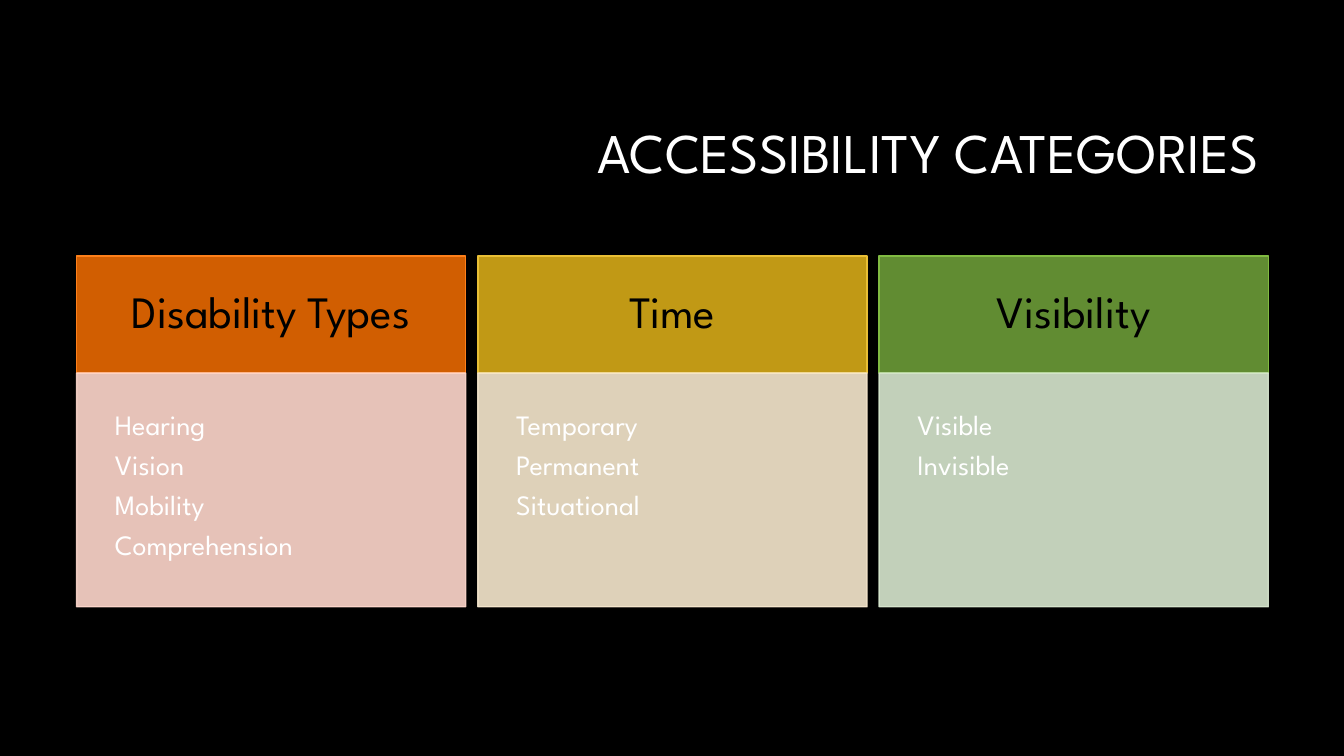
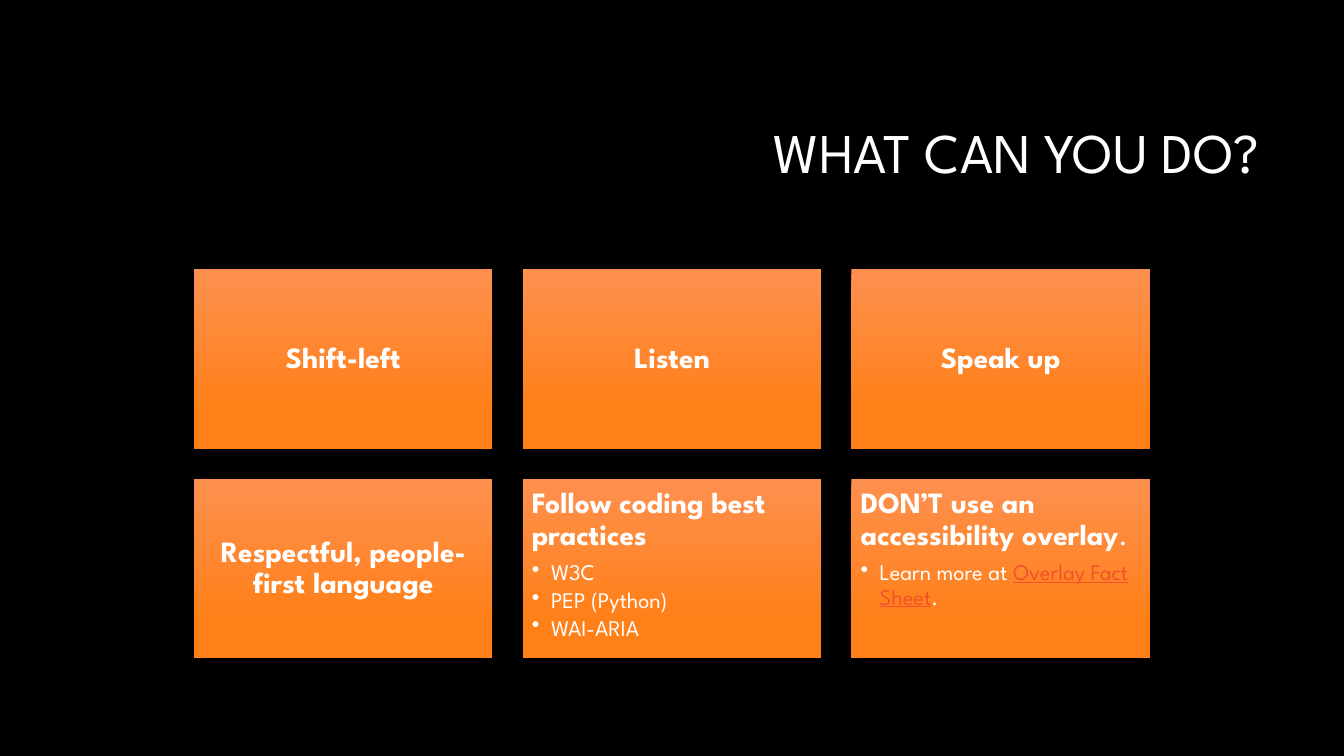
"""Build two slides on accessibility: its categories and what to do about it."""
from lxml.etree import SubElement
from pptx import Presentation
from pptx.dml.color import RGBColor
from pptx.enum.shapes import MSO_SHAPE as Shape
from pptx.enum.text import MSO_ANCHOR as Anchor, PP_ALIGN as Align
from pptx.oxml.ns import qn
from pptx.util import Inches, Pt

FONT = "League Spartan"
BLACK = RGBColor(0x00, 0x00, 0x00)
WHITE = RGBColor(0xFF, 0xFF, 0xFF)
LINK = RGBColor(0xF0, 0x53, 0x2B)
CARD_TOP = RGBColor(0xFE, 0x90, 0x4F)
CARD_BOTTOM = RGBColor(0xFF, 0x80, 0x19)
ORANGE = RGBColor(0xD1, 0x5E, 0x01)
ORANGE_EDGE = RGBColor(0xFE, 0x80, 0x1A)
ORANGE_PALE = RGBColor(0xFF, 0xD8, 0xCD)
GOLD = RGBColor(0xC1, 0x99, 0x15)
GOLD_EDGE = RGBColor(0xE9, 0xBF, 0x35)
GOLD_PALE = RGBColor(0xF7, 0xE8, 0xCE)
GREEN = RGBColor(0x61, 0x8C, 0x32)
GREEN_EDGE = RGBColor(0x81, 0xBB, 0x42)
GREEN_PALE = RGBColor(0xD8, 0xE7, 0xCF)

SLIDE_WIDTH, SLIDE_HEIGHT = 13.33, 7.5
CARD_WIDTH, CARD_HEIGHT, CARD_GAP = 2.96, 1.78, 0.3
CARD_SIZE, POINT_SIZE = 21, 16

CATEGORIES = [
    ("Disability Types", ["Hearing", "Vision", "Mobility", "Comprehension"],
     ORANGE, ORANGE_EDGE, ORANGE_PALE),
    ("Time", ["Temporary", "Permanent", "Situational"],
     GOLD, GOLD_EDGE, GOLD_PALE),
    ("Visibility", ["Visible", "Invisible"],
     GREEN, GREEN_EDGE, GREEN_PALE),
]
ACTIONS = [
    ("Shift-left", "", []),
    ("Listen", "", []),
    ("Speak up", "", []),
    ("Respectful, people-first language", "", []),
    ("Follow coding best practices", "",
     [[("W3C", WHITE)], [("PEP (Python)", WHITE)], [("WAI-ARIA", WHITE)]]),
    ("DON’T use an accessibility overlay", ".",
     [[("Learn more at ", WHITE), ("Overlay Fact Sheet", LINK), (".", WHITE)]]),
]


def add_span(para, text, *, size, color=WHITE, bold=False, underline=False):
    """Append a formatted run to a paragraph."""
    span = para.add_run()
    span.text = text
    font = span.font
    font.name, font.size, font.bold = FONT, Pt(size), bold
    font.underline = underline
    font.color.rgb = color


def add_para(frame, *, align=Align.LEFT, after=0, bullet=False):
    """Return the next paragraph, reusing the first one while it is empty."""
    first = frame.paragraphs[0]
    para = frame.add_paragraph() if first.runs else first
    para.alignment = align
    para.line_spacing = 0.9
    para.space_after = Pt(after)
    if bullet:
        props = para._p.get_or_add_pPr()
        props.set("marL", str(Inches(0.19)))
        props.set("indent", str(-Inches(0.19)))
        SubElement(props, qn("a:buChar"), char="•")
    return para


def prepare_frame(box, *, inset, anchor=Anchor.TOP):
    """Set wrapping, margins and anchor, and return the text frame."""
    frame = box.text_frame
    frame.word_wrap = True
    frame.vertical_anchor = anchor
    frame.margin_left = frame.margin_right = Inches(inset)
    frame.margin_top = frame.margin_bottom = Inches(inset)
    return frame


def add_rectangle(slide, left, top, width, height):
    """Add a rectangle without a shadow."""
    box = slide.shapes.add_shape(
        Shape.RECTANGLE, Inches(left), Inches(top), Inches(width), Inches(height))
    box.shadow.inherit = False
    return box


def paint(box, color, edge, opacity=100):
    """Give a box a solid fill and a thin line; below 100 both show through."""
    box.fill.solid()
    box.fill.fore_color.rgb = color
    box.line.color.rgb = edge
    box.line.width = Pt(1)
    if opacity < 100:
        for node in box._element.spPr.iter(qn("a:srgbClr")):
            SubElement(node, qn("a:alpha"), val=str(opacity * 1000))


def add_titled_slide(deck, title):
    """Add a black slide with a right-aligned title."""
    slide = deck.slides.add_slide(deck.slide_layouts[6])
    slide.background.fill.solid()
    slide.background.fill.fore_color.rgb = BLACK
    box = slide.shapes.add_textbox(
        Inches(3.17), Inches(0.84), Inches(9.42), Inches(1.41))
    frame = prepare_frame(box, inset=0.1, anchor=Anchor.MIDDLE)
    add_span(add_para(frame, align=Align.RIGHT), title, size=40)
    return slide


def add_category(slide, left, heading, items, color, edge, pale):
    """Add a column: a coloured heading above a pale list."""
    top, width, head_height, body_height = 2.54, 3.86, 1.16, 2.32
    head = add_rectangle(slide, left, top, width, head_height)
    paint(head, color, edge)
    frame = prepare_frame(head, inset=0.31, anchor=Anchor.MIDDLE)
    para = add_para(frame, align=Align.CENTER, after=32 * 0.35)
    add_span(para, heading, size=32, color=BLACK)

    body = add_rectangle(slide, left, top + head_height, width, body_height)
    paint(body, pale, pale, opacity=90)
    frame = prepare_frame(body, inset=0.38)
    for item in items:
        add_span(add_para(frame, after=20 * 0.35), item, size=20)


def add_card(slide, left, top, heading, ending, points):
    """Add a gradient card with a bold heading and optional bullets."""
    card = add_rectangle(slide, left, top, CARD_WIDTH, CARD_HEIGHT)
    card.line.fill.background()
    card.fill.gradient()
    card.fill.gradient_angle = 270
    stops = zip(card.fill.gradient_stops, (CARD_TOP, CARD_BOTTOM), (0, 0.78))
    for stop, color, position in stops:
        stop.color.rgb = color
        stop.position = position

    frame = prepare_frame(
        card, inset=0.09, anchor=Anchor.TOP if points else Anchor.MIDDLE)
    para = add_para(frame, align=Align.LEFT if points else Align.CENTER,
                    after=CARD_SIZE * 0.35)
    add_span(para, heading, size=CARD_SIZE, bold=True)
    if ending:
        add_span(para, ending, size=CARD_SIZE)
    for point in points:
        para = add_para(frame, after=POINT_SIZE * 0.15, bullet=True)
        for text, color in point:
            add_span(para, text, size=POINT_SIZE, color=color,
                     underline=color == LINK)


def build_categories(deck):
    """Build the slide with three category columns."""
    slide = add_titled_slide(deck, "ACCESSIBILITY CATEGORIES")
    for column, category in enumerate(CATEGORIES):
        add_category(slide, 0.76 + column * 3.98, *category)


def build_actions(deck):
    """Build the slide with a centred grid of action cards."""
    slide = add_titled_slide(deck, "WHAT CAN YOU DO?")
    columns = 3
    grid_width = columns * CARD_WIDTH + (columns - 1) * CARD_GAP
    grid_left = (SLIDE_WIDTH - grid_width) / 2
    for index, action in enumerate(ACTIONS):
        row, column = divmod(index, columns)
        add_card(slide, grid_left + column * (CARD_WIDTH + CARD_GAP),
                 2.67 + row * (CARD_HEIGHT + CARD_GAP), *action)


def main():
    """Build and save the deck."""
    deck = Presentation()
    deck.slide_width = Inches(SLIDE_WIDTH)
    deck.slide_height = Inches(SLIDE_HEIGHT)
    build_categories(deck)
    build_actions(deck)
    deck.save("out.pptx")


if __name__ == "__main__":
    main()
